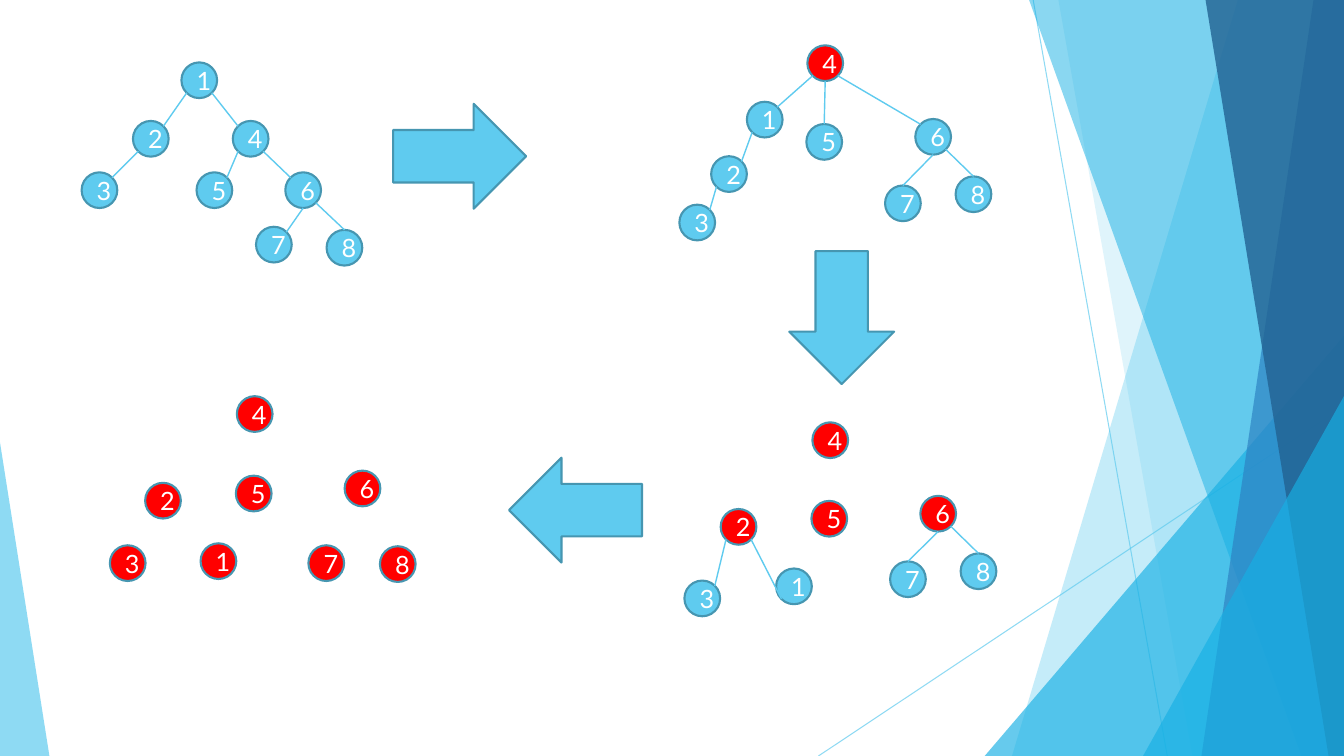
from lxml import etree
from pptx import Presentation
from pptx.dml.color import RGBColor
from pptx.enum.shapes import MSO_CONNECTOR, MSO_SHAPE
from pptx.enum.text import MSO_ANCHOR, PP_ALIGN
from pptx.oxml.ns import qn
from pptx.util import Pt

STRAIGHT = MSO_CONNECTOR.STRAIGHT
ELLIPSE, ARROW, TRIANGLE = MSO_SHAPE.OVAL, MSO_SHAPE.RIGHT_ARROW, MSO_SHAPE.ISOSCELES_TRIANGLE
CENTER, MIDDLE = PP_ALIGN.CENTER, MSO_ANCHOR.MIDDLE

COLORS = {"sky": "5FCBEF", "outline": "4696B1", "red": "FF0000", "white": "FFFFFF",
          "cyan": "17B0E4", "blue": "2E83C3", "navy": "226292"}
FONT, FONT_SIZE = "Lato", 18
WIDTH, HEIGHT = 960, 540
NODE = 25.5
ARROW_W, ARROW_H = 95, 74.9

# Background rays: start and end points
RAYS = [((738, 0), (833.8, HEIGHT)), ((WIDTH, 290.2), (584.6, HEIGHT))]

# Background facets, back to front. A band runs from its slanted left side to the
# right slide edge: top x, bottom x. A triangle stands on the bottom edge:
# left, top, width, position of the apex.
FACETS = [
    ("band", (884.2, 722.9), "sky", 36),
    ("band", (756, 851.8), "sky", 20),
    ("triangle", (703.4, 239.8, 256.6, 1), "cyan", 66),
    ("band", (735.1, 929.5), "cyan", 50),
    ("band", (938.2, 858.2), "blue", 70),
    ("band", (861.1, 949), "navy", 80),
    ("triangle", (816.5, 283, 143.5, 1), "cyan", 66),
    ("triangle", (0, 316.1, 35.3, 0), "sky", 70),
]

# Steps of the decomposition: node positions, red nodes, and edges as
# (parent, side of the parent, child, side of the child)
STEPS = [
    {"nodes": {1: (129.6, 44.6), 2: (95, 86.4), 4: (166.3, 86.4), 5: (140.4, 123.1),
               6: (203.8, 123.1), 8: (233.3, 164.2), 3: (58.3, 123.1), 7: (182.9, 162)},
     "red": [],
     "edges": [(1, "bl", 2, "tr"), (2, "bl", 3, "tr"), (1, "br", 4, "tl"), (4, "bl", 5, "tr"),
               (4, "br", 6, "tl"), (6, "b", 7, "tr"), (6, "br", 8, "t")]},
    {"nodes": {1: (533.5, 72.7), 2: (508, 111.6), 4: (576.7, 32.4), 5: (576, 88.6),
               6: (653.8, 85), 8: (682.6, 126), 3: (485.3, 146.2), 7: (632.2, 132.5)},
     "red": [4],
     "edges": [(1, "bl", 2, "tr"), (2, "bl", 3, "tr"), (4, "bl", 1, "tr"), (4, "b", 5, "t"),
               (4, "br", 6, "tl"), (6, "b", 7, "t"), (6, "br", 8, "t")]},
    {"nodes": {1: (554.4, 406.1), 2: (514.8, 363.6), 4: (580.3, 301.7), 5: (579.6, 357.8),
               6: (657.4, 354.2), 8: (686.2, 395.3), 3: (488.9, 414.7), 7: (635.8, 401)},
     "red": [2, 4, 5, 6],
     "edges": [(2, "br", 1, "bl"), (2, "bl", 3, "tr"), (6, "b", 7, "t"), (6, "br", 8, "t")]},
    {"nodes": {1: (143.3, 388.1), 2: (103.7, 344.9), 4: (169.2, 283), 5: (168.5, 339.8),
               6: (246.2, 336.2), 8: (271.4, 390.2), 3: (78.5, 389.5), 7: (220.3, 389.5)},
     "red": [1, 2, 3, 4, 5, 6, 7, 8],
     "edges": []},
]

# Arrows between the steps: left, top, rotation
STEP_ARROWS = [(280.8, 74.2, 0), (553.7, 189.4, 90), (363.6, 326.9, 180)]

# Places on a node's circle, as fractions of its diameter
SIDES = {"t": (0.5, 0), "b": (0.5, 1), "tl": (0.15, 0.15), "tr": (0.85, 0.15),
         "bl": (0.15, 0.85), "br": (0.85, 0.85)}


def rgb(name):
    return RGBColor.from_string(COLORS[name])


def set_opacity(fill_parent, percent):
    color = fill_parent.find(".//" + qn("a:srgbClr"))
    etree.SubElement(color, qn("a:alpha")).set("val", str(percent * 1000))


def paint(shape, fill, outline=None):
    shape.shadow.inherit = False
    shape.fill.solid()
    shape.fill.fore_color.rgb = rgb(fill)
    if outline:
        shape.line.color.rgb = rgb(outline)
        shape.line.width = Pt(1.5)
    else:
        shape.line.fill.background()


def add_line(shapes, start, end, width, opacity=None):
    line = shapes.add_connector(STRAIGHT, *map(Pt, start + end))
    line.line.color.rgb = rgb("sky")
    line.line.width = Pt(width)
    if opacity:
        set_opacity(line._element.spPr, opacity)
    etree.SubElement(line._element.spPr, qn("a:effectLst"))


def add_facet(shapes, kind, geometry, color, opacity):
    if kind == "band":
        top_x, bottom_x = geometry
        outline = shapes.build_freeform(Pt(top_x), 0, scale=1.0)
        corners = [(WIDTH, 0), (WIDTH, HEIGHT), (bottom_x, HEIGHT)]
        outline.add_line_segments([(Pt(x), Pt(y)) for x, y in corners], close=True)
        facet = outline.convert_to_shape()
    else:
        left, top, width, apex = geometry
        facet = shapes.add_shape(TRIANGLE, Pt(left), Pt(top), Pt(width), Pt(HEIGHT - top))
        facet.adjustments[0] = apex
    paint(facet, color)
    set_opacity(facet._element.spPr, opacity)


def add_node(shapes, label, position, color):
    node = shapes.add_shape(ELLIPSE, *map(Pt, position), Pt(NODE), Pt(NODE))
    paint(node, color, "outline")
    node.text_frame.vertical_anchor = MIDDLE
    paragraph = node.text_frame.paragraphs[0]
    paragraph.alignment = CENTER
    run = paragraph.add_run()
    run.text = str(label)
    run.font.name = FONT
    run.font.size = Pt(FONT_SIZE)
    run.font.color.rgb = rgb("white")


def side_point(position, side):
    return tuple(start + NODE * part for start, part in zip(position, SIDES[side]))


def add_step(shapes, nodes, red, edges):
    for label, position in nodes.items():
        add_node(shapes, label, position, "red" if label in red else "sky")
    for parent, parent_side, child, child_side in edges:
        add_line(shapes, side_point(nodes[parent], parent_side),
                 side_point(nodes[child], child_side), 1)


def main():
    deck = Presentation()
    deck.slide_width, deck.slide_height = Pt(WIDTH), Pt(HEIGHT)
    shapes = deck.slides.add_slide(deck.slide_layouts[6]).shapes

    # Background
    for start, end in RAYS:
        add_line(shapes, start, end, 0.75, 70)
    for facet in FACETS:
        add_facet(shapes, *facet)

    # Trees and the arrows between them
    for step in STEPS:
        add_step(shapes, **step)
    for left, top, rotation in STEP_ARROWS:
        arrow = shapes.add_shape(ARROW, Pt(left), Pt(top), Pt(ARROW_W), Pt(ARROW_H))
        arrow.rotation = rotation
        paint(arrow, "sky", "outline")

    deck.save("out.pptx")


if __name__ == "__main__":
    main()
